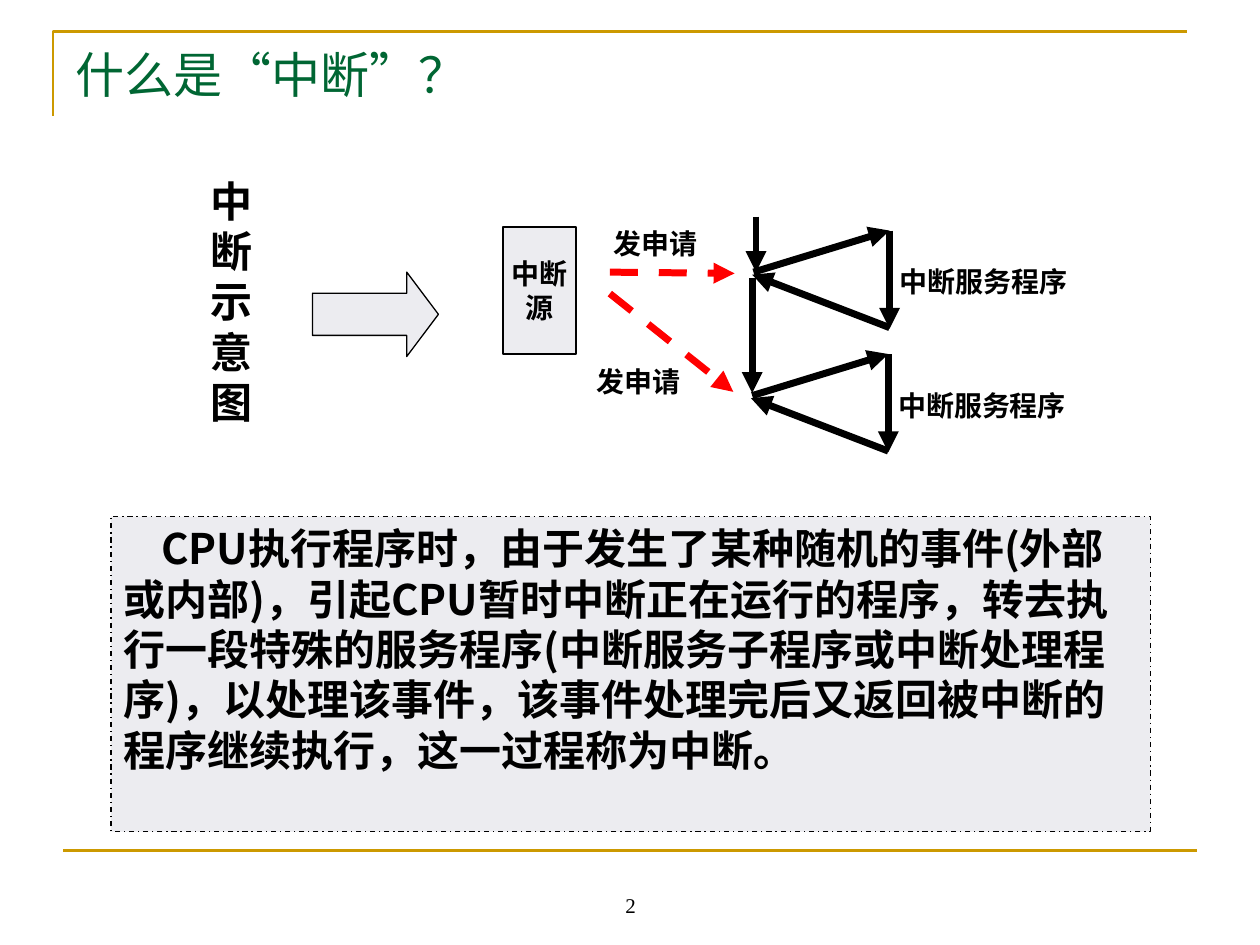
from lxml import etree
from pptx import Presentation
from pptx import util as u
from pptx.dml.color import RGBColor
from pptx.enum import dml, shapes, text
from pptx.oxml.ns import qn

TIMES, NOTO = "Times New Roman", "Noto Sans CJK SC"
BLACK, RED, GOLD, GREEN, GREY = "000000", "FF0000", "CC9900", "006633", "ECECF0"
LEFT, MID, JUST = text.PP_ALIGN.LEFT, text.PP_ALIGN.CENTER, text.PP_ALIGN.JUSTIFY
TOP, CENTER, BOTTOM = (text.MSO_ANCHOR.TOP, text.MSO_ANCHOR.MIDDLE,
                       text.MSO_ANCHOR.BOTTOM)
DASH = dml.MSO_LINE.DASH
PAD, BARE = (0.1, 0.05), (0, 0)

TITLE = "什么是“中断”？"
CAPTION = "中断示意图"
SOURCE = "中断源"
REQUEST = "发申请"
SERVICE = "中断服务程序"
MEANING = ("CPU执行程序时，由于发生了某种随机的事件(外部或内部)，引起CPU暂时中断"
           "正在运行的程序，转去执行一段特殊的服务程序(中断服务子程序或中断处理程序)，"
           "以处理该事件，该事件处理完后又返回被中断的程序继续执行，这一过程称为中断。")

# Main program flow, then the requests that reach it
FLOW = [((6, 1.72), (6, 2.16)), ((5.97, 2.21), (5.97, 3.12))]
ASKS = [((4.84, 2.16), (5.83, 2.17)), ((4.84, 2.33), (5.82, 3.11))]
ASK_TEXT = [(4.81, 1.8), (4.68, 2.89)]
# Each service loop leaves the flow, runs down, and returns
LOOPS = [(5.98, 2.16), (5.97, 3.14)]
STEPS = [((0, 0), (1.08, -0.33)),
         ((1.08, -0.33), (1.08, 0.45)),
         ((1.08, 0.44), (-0.01, 0.02))]
LABEL = (1.16, -0.06)

prs = Presentation()
prs.slide_width, prs.slide_height = u.Inches(10), u.Inches(7.5)
slide = prs.slides.add_slide(prs.slide_layouts[5])
items = slide.shapes


def inch(vals):
    return [u.Inches(v) for v in vals]


def color(code):
    return RGBColor.from_string(code)


def pen(line, code, width, dash=None):
    line.color.rgb = color(code)
    line.width = u.Pt(width)
    if dash:
        line.dash_style = dash


def link(start, end, code=BLACK, width=4, dash=None, arrow=True):
    item = items.add_connector(shapes.MSO_CONNECTOR.STRAIGHT,
                               *inch(start + end))
    pen(item.line, code, width, dash)
    props = item._element.spPr
    if arrow:
        etree.SubElement(props.find(qn("a:ln")), qn("a:tailEnd"),
                         type="triangle")
    etree.SubElement(props, qn("a:effectLst"))


def write(item, words, size, font=TIMES, code=BLACK, bold=True, align=LEFT,
          anchor=TOP, pad=PAD):
    frame = item.text_frame
    frame.word_wrap = True
    frame.auto_size = text.MSO_AUTO_SIZE.NONE
    frame.vertical_anchor = anchor
    frame.margin_left = frame.margin_right = u.Inches(pad[0])
    frame.margin_top = frame.margin_bottom = u.Inches(pad[1])
    para = frame.paragraphs[0]
    para.text = words
    para.alignment = align
    para.font.size, para.font.name = u.Pt(size), font
    para.font.bold = bold
    para.font.color.rgb = color(code)
    return para


def label(at, words, size, **style):
    write(items.add_textbox(*inch(at)), words, size, **style)


def block(kind, at, width, dash=None):
    item = items.add_shape(kind, *inch(at))
    item.shadow.inherit = False
    item.fill.solid()
    item.fill.fore_color.rgb = color(GREY)
    pen(item.line, BLACK, width, dash)
    return item


def shift(base, step):
    return base[0] + step[0], base[1] + step[1]


# Frame lines and title
path = items.build_freeform(u.Inches(0.42), u.Inches(0.92))
path.add_line_segments([inch((0.42, 0.25)), inch((9.42, 0.25))], close=False)
corner = path.convert_to_shape()
corner.shadow.inherit = False
corner.fill.background()
pen(corner.line, GOLD, 1.5)
link((0.5, 6.75), (9.5, 6.75), GOLD, 1.5, arrow=False)

title = items.title
title.left, title.top, title.width, title.height = inch((0.5, 0.3, 9, 0.61))
write(title, TITLE, 28, code=GREEN, bold=False)
label((3.42, 6.83, 3.17, 0.5), "2", 12, bold=False, align=MID, anchor=BOTTOM)

# Interrupt diagram
label((1.57, 1.34, 0.58, 2.1), CAPTION, 24, font=NOTO)
for start, end in FLOW:
    link(start, end)
for base in LOOPS:
    for start, end in STEPS:
        link(shift(base, start), shift(base, end))
    label(shift(base, LABEL) + (1.51, 0.19), SERVICE, 16, align=JUST, pad=BARE)
for (start, end), spot in zip(ASKS, ASK_TEXT):
    link(start, end, RED, dash=DASH)
    label(spot + (0.78, 0.2), REQUEST, 16, align=MID, pad=BARE)

box = block(shapes.MSO_SHAPE.RECTANGLE, (3.99, 1.8, 0.58, 1.01), 1)
write(box, SOURCE, 16, align=MID, anchor=CENTER, pad=BARE)
arrow = block(shapes.MSO_SHAPE.RIGHT_ARROW, (2.48, 2.16, 1, 0.67), 0.75)
arrow.adjustments[0], arrow.adjustments[1] = 0.5, 0.375

# Definition
note = block(shapes.MSO_SHAPE.RECTANGLE, (0.88, 4.1, 8.25, 2.5), 0.75,
             dml.MSO_LINE.DASH_DOT)
para = write(note, MEANING, 24, font=NOTO)
para._p.get_or_add_pPr().set("indent", str(u.Inches(0.3)))

prs.save("out.pptx")
